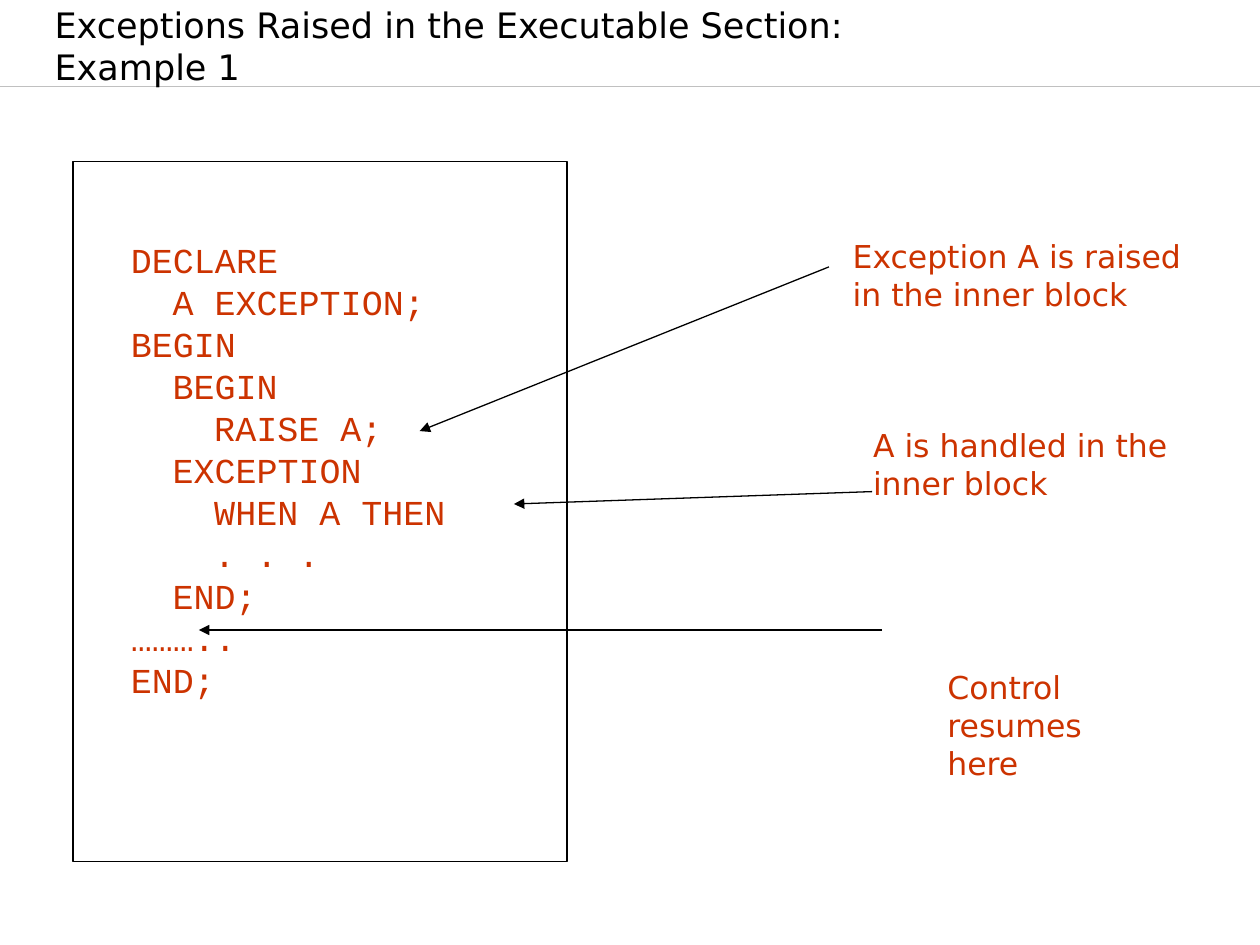
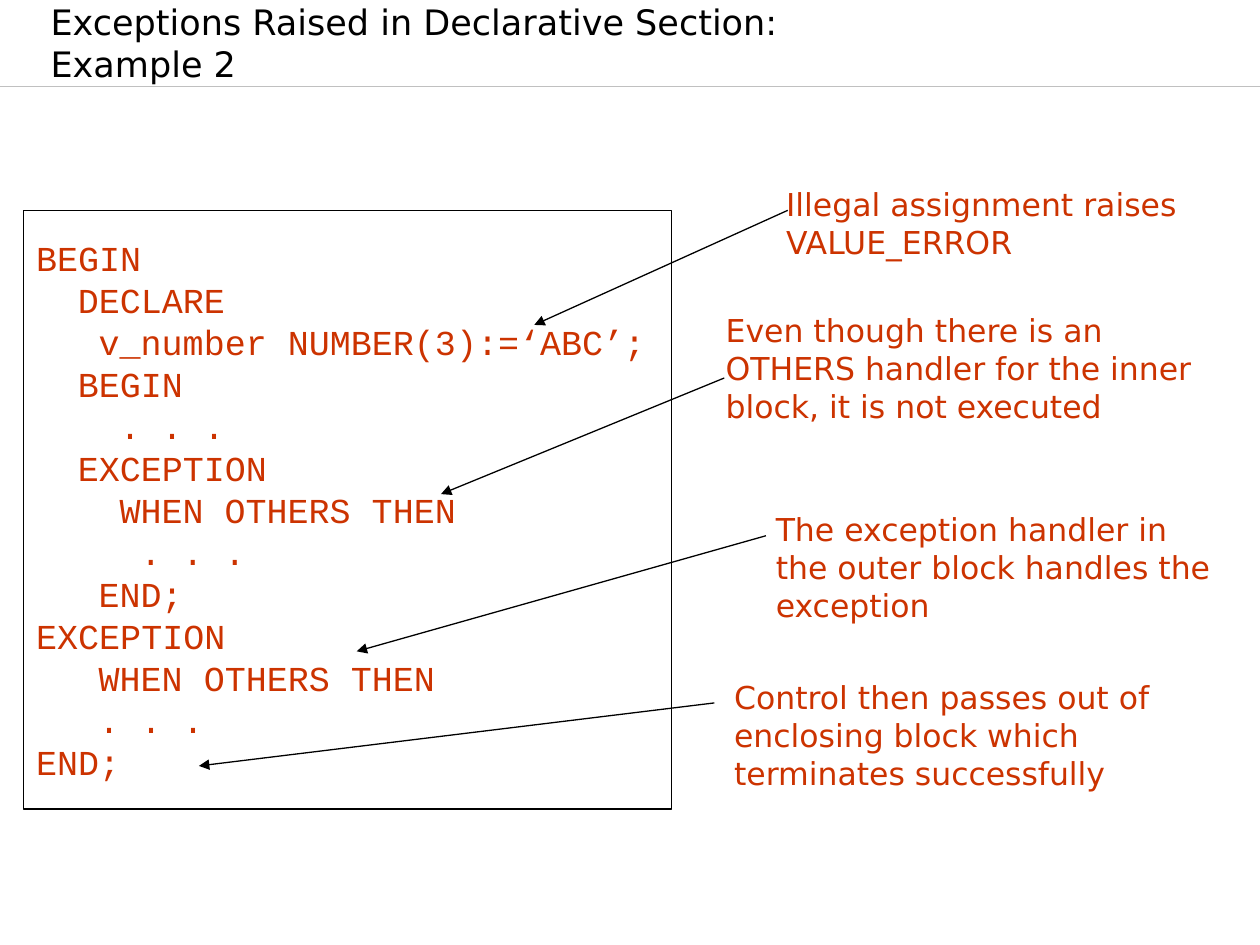
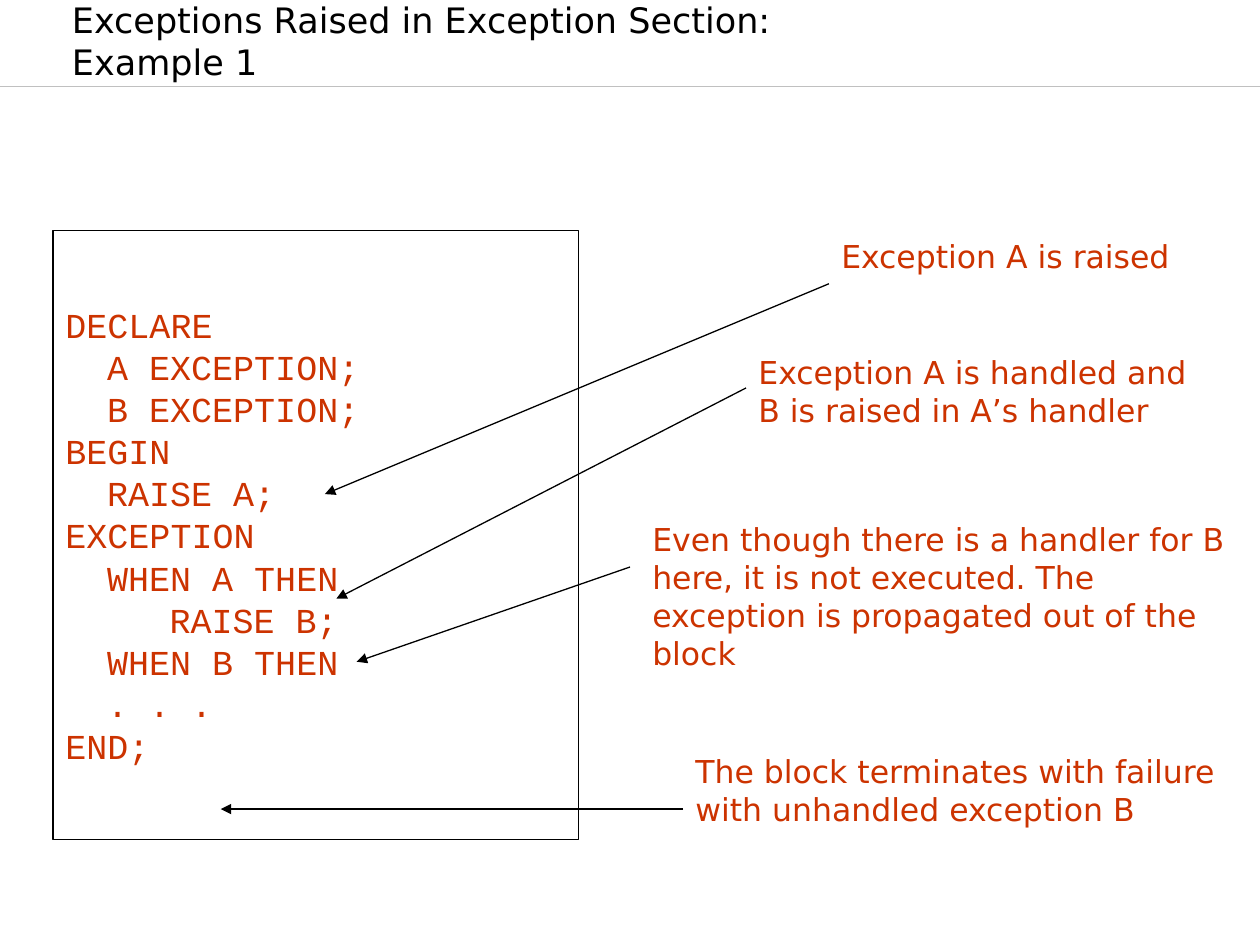
from dataclasses import dataclass

from lxml import etree
from pptx import Presentation
from pptx.dml.color import RGBColor
from pptx.enum.shapes import MSO_CONNECTOR, MSO_SHAPE
from pptx.enum.text import MSO_ANCHOR, MSO_AUTO_SIZE, PP_ALIGN
from pptx.oxml.ns import qn
from pptx.util import Cm, Pt

STRAIGHT = MSO_CONNECTOR.STRAIGHT
RECTANGLE = MSO_SHAPE.RECTANGLE
LEFT = PP_ALIGN.LEFT
TOP, MIDDLE, BOTTOM = MSO_ANCHOR.TOP, MSO_ANCHOR.MIDDLE, MSO_ANCHOR.BOTTOM
FIXED, GROW = MSO_AUTO_SIZE.NONE, MSO_AUTO_SIZE.SHAPE_TO_FIT_TEXT
TITLE_ONLY = 5


@dataclass(frozen=True)
class Theme:
    ink: RGBColor = RGBColor(0x00, 0x00, 0x00)
    accent: RGBColor = RGBColor(0xCC, 0x33, 0x00)
    paper: RGBColor = RGBColor(0xFF, 0xFF, 0xFF)
    rule: RGBColor = RGBColor(0xC0, 0xC0, 0xC0)
    sans: str = "DejaVu Sans"
    mono: str = "Courier New"
    title_size: float = 20
    code_size: float = 20
    note_size: float = 18
    note_space: float = 11.2
    line_width: float = 0.75
    code_column: float = 0.42
    slide_width: float = 25.4
    slide_height: float = 19.05
    rule_top: float = 1.75


THEME = Theme()


def cm_box(box):
    return [Cm(v) for v in box]


def write(tf, text, font=THEME.sans, size=THEME.note_size, color=THEME.accent,
          anchor=TOP, auto_size=FIXED, inset=0.25, space_before=0):
    """Fill a frame line by line; leading blanks become paragraph indents."""
    tf.word_wrap = True
    tf.auto_size = auto_size
    tf.vertical_anchor = anchor
    tf.margin_left, tf.margin_right = Cm(inset), Cm(0.25)
    tf.margin_top = tf.margin_bottom = Cm(0.13)
    for i, line in enumerate(text.split("\n")):
        p = tf.paragraphs[0] if i == 0 else tf.add_paragraph()
        p.alignment = LEFT
        p.space_before = Pt(space_before)
        p.text = line.lstrip(" ")
        p.font.name, p.font.size = font, Pt(size)
        p.font.color.rgb = color
        for r in p.runs:
            r.font.name, r.font.size = font, Pt(size)
            r.font.color.rgb = color
        columns = len(line) - len(line.lstrip(" "))
        if columns:
            pPr = p._p.get_or_add_pPr()
            pPr.set("marL", str(Cm(columns * THEME.code_column)))
            pPr.set("indent", "0")


def add_line(slide, start, end, color=THEME.ink, arrow=False):
    line = slide.shapes.add_connector(STRAIGHT, *cm_box((*start, *end)))
    line.line.color.rgb = color
    line.line.width = Pt(THEME.line_width)
    if arrow:
        etree.SubElement(line.line._get_or_add_ln(), qn("a:tailEnd"), type="triangle")
    etree.SubElement(line.element.spPr, qn("a:effectLst"))
    return line


def add_master_rule(prs, slide):
    """Draw the rule under the title and hand it over to the slide master."""
    y = THEME.rule_top
    rule = add_line(slide, (0, y), (THEME.slide_width, y), THEME.rule).element
    rule.nvCxnSpPr.cNvPr.set("id", "20")
    prs.slide_master.shapes.element.append(rule)


def add_title(slide, box, text):
    title = slide.shapes.title
    title.left, title.top, title.width, title.height = cm_box(box)
    write(title.text_frame, text, size=THEME.title_size, color=THEME.ink,
          anchor=BOTTOM, inset=1.02)


def add_code_panel(slide, box, code, code_box=None):
    """Framed code, centred in the frame or in code_box, which is relative to it."""
    sp = slide.shapes.add_shape(RECTANGLE, *cm_box(box))
    sp.shadow.inherit = False
    sp.fill.solid()
    sp.fill.fore_color.rgb = THEME.paper
    sp.line.color.rgb = THEME.ink
    sp.line.width = Pt(THEME.line_width)
    if code_box:
        dx, dy, width, height = code_box
        sp = slide.shapes.add_textbox(*cm_box((box[0] + dx, box[1] + dy, width, height)))
    write(sp.text_frame, code, font=THEME.mono, size=THEME.code_size,
          anchor=TOP if code_box else MIDDLE)


def add_callout(slide, panel, box, text, start, tip):
    """Note with an arrow: start is relative to the note, tip to the code panel."""
    sp = slide.shapes.add_textbox(*cm_box(box))
    write(sp.text_frame, text, auto_size=GROW, space_before=THEME.note_space)
    add_line(slide, (box[0] + start[0], box[1] + start[1]),
             (panel[0] + tip[0], panel[1] + tip[1]), arrow=True)


def add_example(prs, title, title_box, panel, code, callouts, code_box=None):
    slide = prs.slides.add_slide(prs.slide_layouts[TITLE_ONLY])
    add_title(slide, title_box, title)
    add_code_panel(slide, panel, code, code_box)
    for callout in callouts:
        add_callout(slide, panel, *callout)
    return slide


EXECUTABLE_CODE = """DECLARE
  A EXCEPTION;
BEGIN
  BEGIN
    RAISE A;
  EXCEPTION
    WHEN A THEN
    . . .
  END;
………..
END;"""

DECLARATIVE_CODE = """BEGIN
  DECLARE
   v_number NUMBER(3):=‘ABC’;
  BEGIN
    . . .
  EXCEPTION
    WHEN OTHERS THEN
     . . .
   END;
EXCEPTION
   WHEN OTHERS THEN
   . . .
END;"""

HANDLER_CODE = """DECLARE
  A EXCEPTION;
  B EXCEPTION;
BEGIN
  RAISE A;
EXCEPTION
  WHEN A THEN
     RAISE B;
  WHEN B THEN
  . . .
END;"""

# Each callout: note box, text, arrow start in the note, arrow tip in the panel
EXECUTABLE_CALLOUTS = [
    ((16.94, 4.65, 7.62, 1.78), "Exception A is raised in the inner block",
     (-0.23, 0.73), (6.99, 5.44)),
    ((17.35, 8.46, 6.98, 1.78), "A is handled in the inner block",
     (0.23, 1.45), (8.89, 6.91)),
    ((18.85, 13.34, 4.45, 2.54), "Control resumes here",
     (-1.07, -0.64), (2.54, 9.45)),
]

DECLARATIVE_CALLOUTS = [
    ((15.6, 3.61, 9.17, 1.78), "Illegal assignment raises VALUE_ERROR",
     (0.28, 0.63), (10.29, 2.31)),
    ((14.38, 6.15, 10.62, 2.54),
     "Even though there is an OTHERS handler for the inner block, it is not executed",
     (0.22, 1.47), (8.41, 5.72)),
    ((15.39, 10.16, 9.6, 2.54),
     "The exception handler in the outer block handles the exception",
     (0.05, 0.64), (6.71, 8.89)),
    ((14.55, 13.54, 10, 2.54),
     "Control then passes out of enclosing block which terminates successfully",
     (-0.15, 0.63), (3.53, 11.2)),
]

HANDLER_CALLOUTS = [
    ((16.71, 4.65, 8.05, 1.02), "Exception A is raised",
     (0, 1.07), (5.48, 5.31)),
    ((15.04, 6.99, 9.73, 1.78), "Exception A is handled and B is raised in A’s handler",
     (0, 0.83), (5.71, 7.42)),
    ((12.9, 10.36, 12.5, 2.54),
     "Even though there is a handler for B here, it is not executed. "
     "The exception is propagated out of the block",
     (-0.2, 1.07), (6.12, 8.69)),
    ((13.77, 15.04, 11, 1.78),
     "The block terminates with failure with unhandled exception B",
     (0, 1.27), (3.38, 11.66)),
]


def main():
    prs = Presentation()
    prs.slide_width, prs.slide_height = Cm(THEME.slide_width), Cm(THEME.slide_height)
    first = add_example(
        prs, "Exceptions Raised in the Executable Section: Example 1",
        (0.08, 0.43, 18.57, 1.47), (1.47, 3.25, 9.96, 14.12),
        EXECUTABLE_CODE, EXECUTABLE_CALLOUTS, code_box=(0.92, 1.42, 6.9, 9.58))
    add_master_rule(prs, first)
    add_example(
        prs, "Exceptions Raised in Declarative Section:\vExample 2",
        (0, 0.13, 22.86, 1.7), (0.48, 4.24, 13.06, 12.07),
        DECLARATIVE_CODE, DECLARATIVE_CALLOUTS)
    add_example(
        prs, "Exceptions Raised in Exception Section:\vExample 1",
        (0.43, 0.33, 22.86, 1.47), (1.07, 4.65, 10.59, 12.27),
        HANDLER_CODE, HANDLER_CALLOUTS)
    prs.save("out.pptx")


if __name__ == "__main__":
    main()
